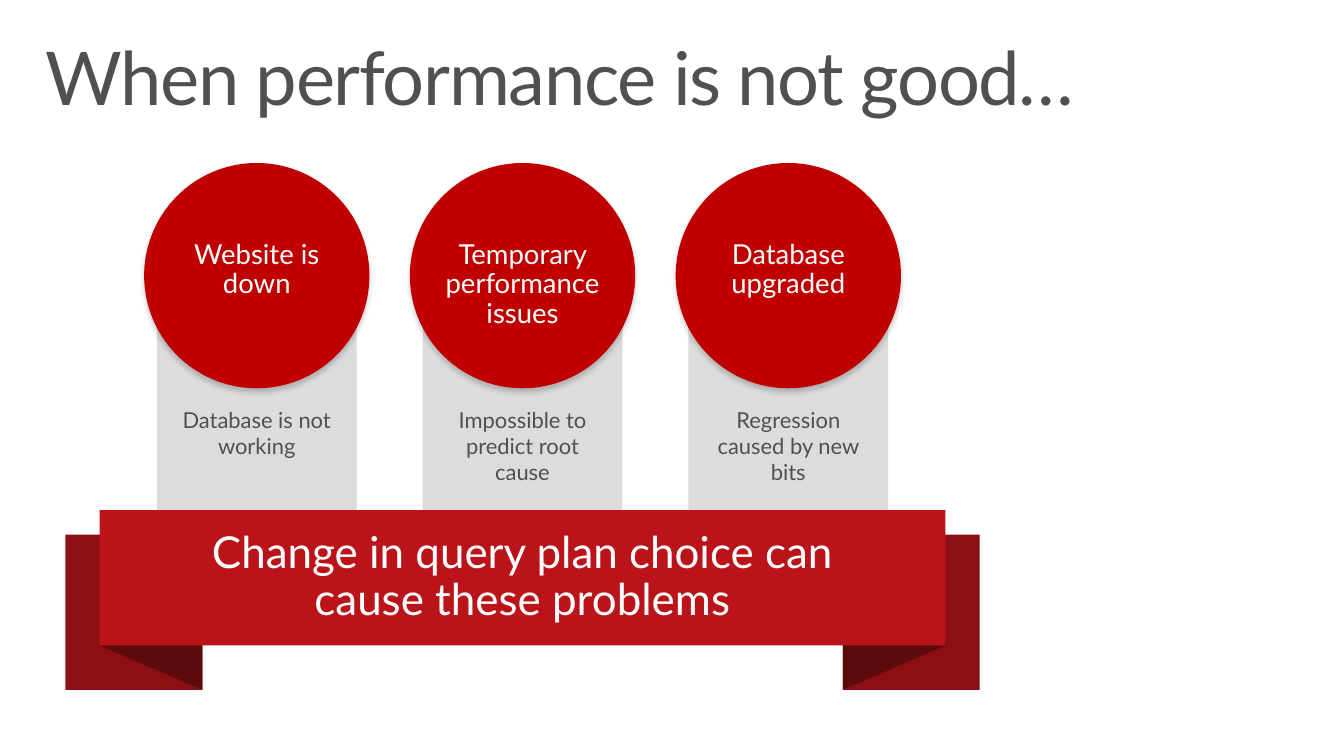
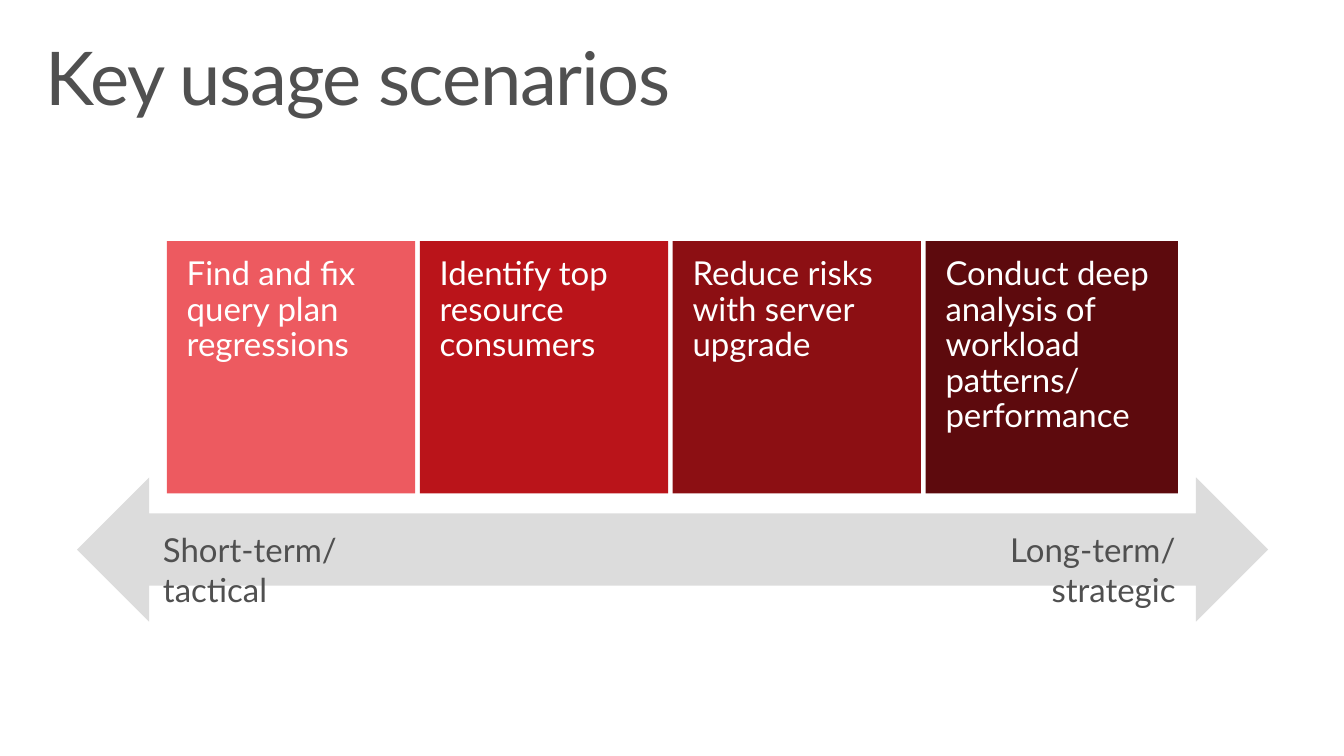
from lxml import etree
from pptx import Presentation
from pptx.dml.color import RGBColor
from pptx.enum import shapes, text
from pptx.oxml.ns import qn
from pptx.util import Cm, Pt

FONT = "Lato"
GREY, PALE, WHITE = "505050", "DCDCDC", "FFFFFF"
CORAL, RED, DARK, DEEP, CIRCLE_RED = "ED5A60", "BA141A", "8C0F13", "5D0A0D", "C00000"
LEFT, CENTER, RIGHT = text.PP_ALIGN.LEFT, text.PP_ALIGN.CENTER, text.PP_ALIGN.RIGHT
TOP, MIDDLE = text.MSO_ANCHOR.TOP, text.MSO_ANCHOR.MIDDLE
KIND = shapes.MSO_SHAPE

PROBLEMS = [
    ("Website is down", "Database is not working"),
    ("Temporary performance issues", "Impossible to predict root cause"),
    ("Database upgraded", "Regression caused by new bits"),
]
CONCLUSION = "Change in query plan choice can\ncause these problems"

SCENARIOS = [  # text, fill, width in cm
    ("Find and fix query plan regressions", CORAL, 6.38),
    ("Identify top resource consumers", RED, 6.38),
    ("Reduce risks with server upgrade", DARK, 6.38),
    ("Conduct deep analysis of workload patterns/ performance", DEEP, 6.48),
]
TERMS = [  # text, left in cm, alignment
    ("Short-term/\ntactical", 3.94, LEFT),
    ("Long-term/\nstrategic", 23.06, RIGHT),
]


def rgb(value):
    return RGBColor.from_string(value)


def write(sp, words, size, color, align=LEFT, spacing=1.0, anchor=TOP,
          insets=(0.25, 0.13, 0.25, 0.13)):
    """Fill a shape with one paragraph; insets are left, top, right, bottom in cm."""
    tf = sp.text_frame
    tf.word_wrap = True
    tf.auto_size = text.MSO_AUTO_SIZE.NONE
    tf.vertical_anchor = anchor
    tf.margin_left, tf.margin_top, tf.margin_right, tf.margin_bottom = map(Cm, insets)
    p = tf.paragraphs[0]
    p.alignment = align
    p.line_spacing = spacing
    p.space_before = Pt(0)
    for i, line in enumerate(words.split("\n")):
        if i:
            p.add_line_break()
        r = p.add_run()
        r.text = line
        r.font.name = FONT
        r.font.size = Pt(size)
        r.font.color.rgb = rgb(color)
    return p


def paint(sp, fill):
    sp.shadow.inherit = False
    sp.fill.solid()
    sp.fill.fore_color.rgb = rgb(fill)
    sp.line.fill.background()
    return sp


def add_box(slide, kind, left, top, width, height, fill):
    return paint(slide.shapes.add_shape(kind, Cm(left), Cm(top), Cm(width), Cm(height)), fill)


def add_soft_shadow(sp):
    effects = sp._element.spPr.find(qn("a:effectLst"))
    shadow = etree.SubElement(effects, qn("a:outerShdw"), blurRad=str(Pt(4)),
                              dist=str(Pt(3)), dir="5400000", algn="t", rotWithShape="0")
    color = etree.SubElement(shadow, qn("a:srgbClr"), val="000000")
    etree.SubElement(color, qn("a:alpha"), val="20000")


def add_titled_slide(prs, title):
    slide = prs.slides.add_slide(prs.slide_layouts[5])
    sp = slide.shapes.title
    sp.left, sp.top, sp.width, sp.height = Cm(0.76), Cm(0.81), Cm(33.02), Cm(2.54)
    p = write(sp, title, 54, GREY, spacing=0.9, insets=(0.41, 0.25, 0.41, 0.25))
    p.runs[0].font._element.set("spc", "-100")
    return slide


def add_ribbon(slide, center, words):
    top, width, height = 13.11, 21.74, 3.48
    inner, outer = 8.23, 11.75
    tail_top, tail_bottom = 13.74, 17.73
    fold_top = top + height
    for side in (-1, 1):
        tail_left = min(center + side * inner, center + side * outer)
        add_box(slide, KIND.RECTANGLE, tail_left, tail_top,
                outer - inner, tail_bottom - tail_top, DARK)
        inner_x, edge_x = Cm(center + side * inner), Cm(center + side * width / 2)
        fold = slide.shapes.build_freeform(edge_x, Cm(fold_top))
        fold.add_line_segments([(inner_x, Cm(tail_bottom)), (inner_x, Cm(fold_top))])
        paint(fold.convert_to_shape(), DEEP)
    banner = add_box(slide, KIND.RECTANGLE, center - width / 2, top, width, height, RED)
    write(banner, words, 32, WHITE, CENTER, 0.9, MIDDLE, (0, 0, 0, 0))


def build_problems(prs):
    slide = add_titled_slide(prs, "When performance is not good…")
    first_center, pitch = 6.6, 6.83
    pillar_width, diameter = 5.13, 5.79
    for i, (problem, cause) in enumerate(PROBLEMS):
        center = first_center + i * pitch
        pillar = add_box(slide, KIND.RECTANGLE, center - pillar_width / 2, 8.15,
                         pillar_width, 4.96, PALE)
        write(pillar, cause, 16, GREY, CENTER, insets=(0.51, 2.29, 0.51, 0))
        circle = add_box(slide, KIND.OVAL, center - diameter / 2, 4.19,
                         diameter, diameter, CIRCLE_RED)
        add_soft_shadow(circle)
        write(circle, problem, 20, WHITE, CENTER, 0.9, insets=(0, 1.14, 0, 0))
    add_ribbon(slide, first_center + pitch, CONCLUSION)


def build_scenarios(prs):
    slide = add_titled_slide(prs, "Key usage scenarios")
    for i, (words, fill, width) in enumerate(SCENARIOS):
        card = add_box(slide, KIND.RECTANGLE, 4.29 + i * 6.5, 6.2, width, 6.48, fill)
        write(card, words, 24, WHITE, spacing=0.9, insets=(0.51, 0.41, 0.51, 0.41))
    add_box(slide, KIND.LEFT_RIGHT_ARROW, 1.98, 12.27, 30.61, 3.71, PALE)
    for words, left, align in TERMS:
        label = slide.shapes.add_textbox(Cm(left), Cm(13.49), Cm(7.4), Cm(2.3))
        write(label, words, 24, GREY, align)


def main():
    prs = Presentation()
    prs.slide_width, prs.slide_height = Cm(34.54), Cm(19.43)
    build_problems(prs)
    build_scenarios(prs)
    prs.save("out.pptx")


if __name__ == "__main__":
    main()
